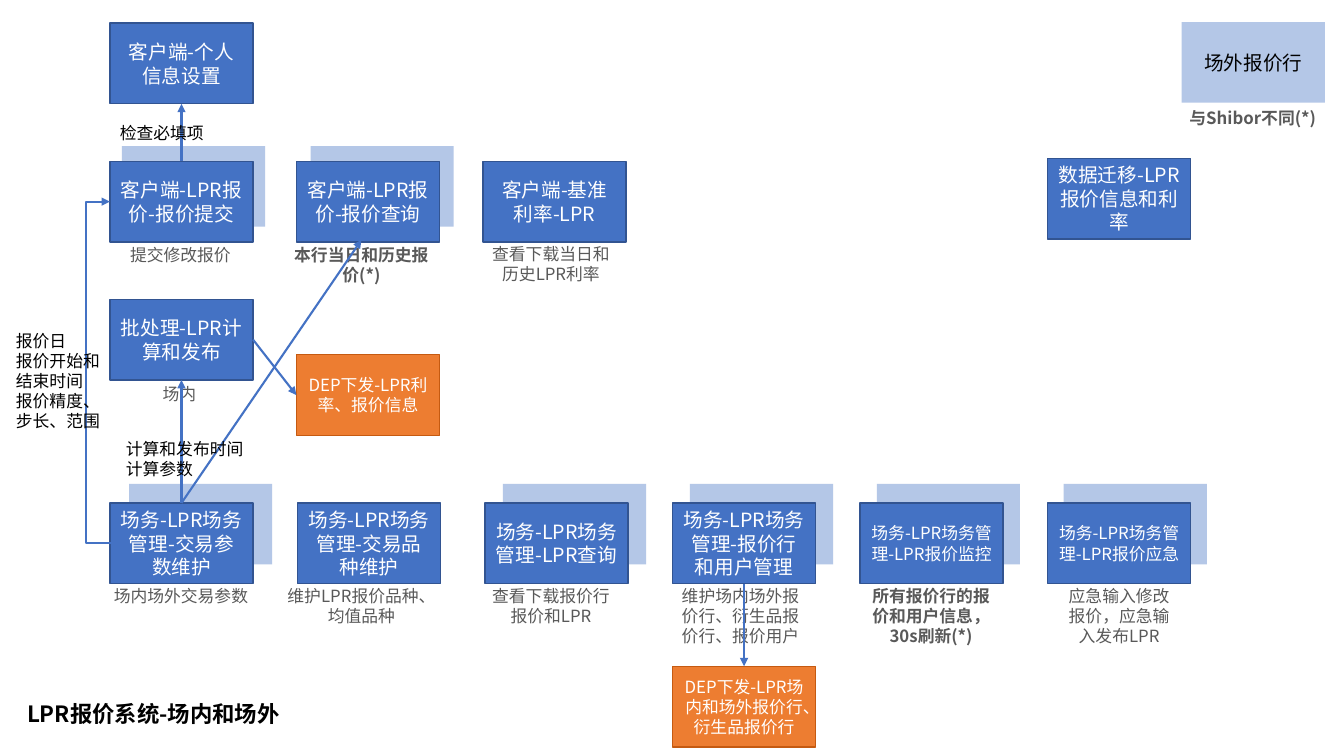
from lxml import etree
from pptx import Presentation, util as u
from pptx.dml.color import RGBColor
from pptx.enum import shapes, text
from pptx.oxml.ns import qn

FONT = "Noto Sans CJK SC"
BLUE, BLUE_EDGE = RGBColor(0x44, 0x72, 0xC4), RGBColor(0x32, 0x54, 0x91)
ORANGE, ORANGE_EDGE = RGBColor(0xED, 0x7D, 0x31), RGBColor(0xC5, 0x5A, 0x11)
PALE = RGBColor(0xB4, 0xC7, 0xE7)
WHITE, BLACK = RGBColor(0xFF, 0xFF, 0xFF), RGBColor(0, 0, 0)
GREY = RGBColor(0x59, 0x59, 0x59)

# Grid: box size, left edge, column pitch per band and row tops
BOX_W, BOX_H, LEFT = 1.42, 0.8, 1.09
CLIENT_PITCH, DESK_PITCH = 1.85, 1.86
CLIENT_BACK_PITCH, DESK_BACK_PITCH = 1.87, (10.55 - 1.28) / 5
PROFILE_ROW, CLIENT_ROW, BATCH_ROW, DESK_ROW, FEED_ROW = 0.23, 1.6, 2.97, 4.99, 6.61
DESK_NOTE_ROW = 5.76

TOP, LEFT_SIDE, BOTTOM, RIGHT_SIDE = range(4)


def client_col(i):
    return LEFT + i * CLIENT_PITCH


def desk_col(i):
    return LEFT + i * DESK_PITCH


def write(tf, lines, size, color, align, bold=False):
    tf.word_wrap = True
    for i, line in enumerate(lines.split("\n")):
        p = tf.paragraphs[0] if i == 0 else tf.add_paragraph()
        p.alignment = align
        r = p.add_run()
        r.text = line
        for name, value in {"name": FONT, "size": u.Pt(size), "bold": bold}.items():
            setattr(r.font, name, value)
        r.font.color.rgb = color
        etree.SubElement(r._r.get_or_add_rPr(), qn("a:ea")).set("typeface", FONT)


def box(s, x, y, label="", size=14, fill=BLUE, edge=BLUE_EDGE, color=WHITE):
    sp = s.shapes.add_shape(shapes.MSO_SHAPE.RECTANGLE,
                            *map(u.Inches, (x, y, BOX_W, BOX_H)))
    sp.shadow.inherit = False
    sp.fill.solid()
    sp.fill.fore_color.rgb = fill
    if edge is None:
        sp.line.fill.background()
    else:
        sp.line.color.rgb = edge
        sp.line.width = u.Pt(1)
    if label:
        sp.text_frame.vertical_anchor = text.MSO_ANCHOR.MIDDLE
        write(sp.text_frame, label, size, color, text.PP_ALIGN.CENTER)
    return sp


def note(s, x, y, w, h, lines, color=GREY, bold=False, size=12,
         align=text.PP_ALIGN.CENTER):
    sp = s.shapes.add_textbox(*map(u.Inches, (x, y, w, h)))
    write(sp.text_frame, lines, size, color, align, bold)
    sp.text_frame.auto_size = text.MSO_AUTO_SIZE.SHAPE_TO_FIT_TEXT
    return sp


def style_arrow(c):
    c.line.color.rgb = BLUE
    c.line.width = u.Pt(1.5)
    etree.SubElement(c.line._get_or_add_ln(), qn("a:tailEnd")).set("type", "triangle")
    etree.SubElement(c._element.spPr, qn("a:effectLst"))


def arrow(s, start, start_side, end, end_side):
    c = s.shapes.add_connector(shapes.MSO_CONNECTOR.STRAIGHT, 0, 0, 0, 0)
    c.begin_connect(start, start_side)
    c.end_connect(end, end_side)
    style_arrow(c)


def loop_arrow(s, x, start_y, end_y, reach):
    """Bracket arrow that leaves to the left of x and returns to x."""
    width = 0.01
    c = s.shapes.add_connector(shapes.MSO_CONNECTOR.ELBOW, *map(
        u.Inches, (x, end_y, x + width, start_y)))
    c._element.spPr.find(qn("a:xfrm")).set("rot", "10800000")
    geom = c._element.spPr.find(qn("a:prstGeom"))
    guides = geom.find(qn("a:avLst"))
    if guides is None:
        guides = etree.SubElement(geom, qn("a:avLst"))
    gd = etree.SubElement(guides, qn("a:gd"))
    gd.set("name", "adj1")
    gd.set("fmla", f"val {round(reach / width * 100000)}")
    style_arrow(c)


def main():
    prs = Presentation()
    prs.slide_width, prs.slide_height = u.Inches(13.33), u.Inches(7.5)
    s = prs.slides.add_slide(prs.slide_layouts[6])

    # Pale boxes behind the parts shared with off-floor banks
    for i in range(2):
        box(s, 1.21 + i * CLIENT_BACK_PITCH, 1.45, fill=PALE, edge=None)
    for i in (0, 2, 3, 4, 5):
        box(s, 1.28 + i * DESK_BACK_PITCH, 4.8, fill=PALE, edge=None)

    # Client and batch boxes
    profile = box(s, LEFT, PROFILE_ROW, "客户端-个人信息设置")
    submit, _, _ = [box(s, client_col(i), CLIENT_ROW, label) for i, label in enumerate(
        ("客户端-LPR报价-报价提交", "客户端-LPR报价-报价查询", "客户端-基准利率-LPR"))]
    batch = box(s, LEFT, BATCH_ROW, "批处理-LPR计算和发布")
    box(s, desk_col(5), 1.57, "数据迁移-LPR报价信息和利率")

    # Market desk boxes
    desk = [box(s, desk_col(i), DESK_ROW, "场务-LPR场务管理-" + label, size)
            for i, (label, size) in enumerate((
                ("交易参数维护", 14), ("交易品种维护", 14), ("LPR查询", 14),
                ("报价行和用户管理", 14), ("LPR报价监控", 12), ("LPR报价应急", 12)))]

    # Downstream feeds and legend
    feeds = [box(s, x, y, "DEP下发-LPR" + label, 12, ORANGE, ORANGE_EDGE)
             for x, y, label in ((client_col(1), 3.52, "利率、报价信息"),
                                 (desk_col(3), FEED_ROW, "场内和场外报价行、衍生品报价行"))]
    box(s, 11.72, 0.22, "场外报价行", fill=PALE, edge=None, color=BLACK)

    # Grey notes under the boxes
    history = note(s, 2.8, 2.38, 1.57, 0.5, "本行当日和历史报价(*)", bold=True)
    note(s, 11.64, 1.02, 1.57, 0.3, "与Shibor不同(*)", bold=True)
    note(s, 1.15, 2.38, 1.28, 0.3, "提交修改报价")
    note(s, 4.75, 2.37, 1.43, 0.5, "查看下载当日和历史LPR利率")
    note(s, 1.43, 3.76, 0.7, 0.3, "场内")
    for x, w, h, lines, bold in (
            (0.9, 1.79, 0.3, "场内场外交易参数", False),
            (2.69, 1.79, 0.5, "维护LPR报价品种、均值品种", False),
            (4.75, 1.43, 0.5, "查看下载报价行报价和LPR", False),
            (6.63, 1.43, 0.71, "维护场内场外报价行、衍生品报价行、报价用户", False),
            (8.52, 1.43, 0.71, "所有报价行的报价和用户信息，30s刷新(*)", True),
            (10.47, 1.26, 0.71, "应急输入修改报价，应急输入发布LPR", False)):
        note(s, x, DESK_NOTE_ROW, w, h, lines, bold=bold)

    # Arrows
    arrow(s, submit, TOP, profile, BOTTOM)
    arrow(s, desk[0], TOP, batch, BOTTOM)
    arrow(s, desk[0], TOP, history, TOP)
    arrow(s, desk[3], BOTTOM, feeds[1], TOP)
    arrow(s, batch, RIGHT_SIDE, feeds[0], LEFT_SIDE)
    loop_arrow(s, LEFT, DESK_ROW + BOX_H / 2, CLIENT_ROW + BOX_H / 2, 0.25)

    # Arrow labels and title
    for x, y, w, h, lines in (
            (1.09, 1.17, 1.04, 0.3, "检查必填项"),
            (0.06, 3.23, 1.04, 1.11, "报价日\n报价开始和结束时间\n报价精度、步长、范围"),
            (1.15, 4.3, 1.42, 0.5, "计算和发布时间\n计算参数")):
        note(s, x, y, w, h, lines, BLACK, align=text.PP_ALIGN.LEFT)
    note(s, 0.17, 6.9, 3, 0.37, "LPR报价系统-场内和场外", BLACK, True, 16,
         text.PP_ALIGN.LEFT)

    prs.save("out.pptx")


if __name__ == "__main__":
    main()
